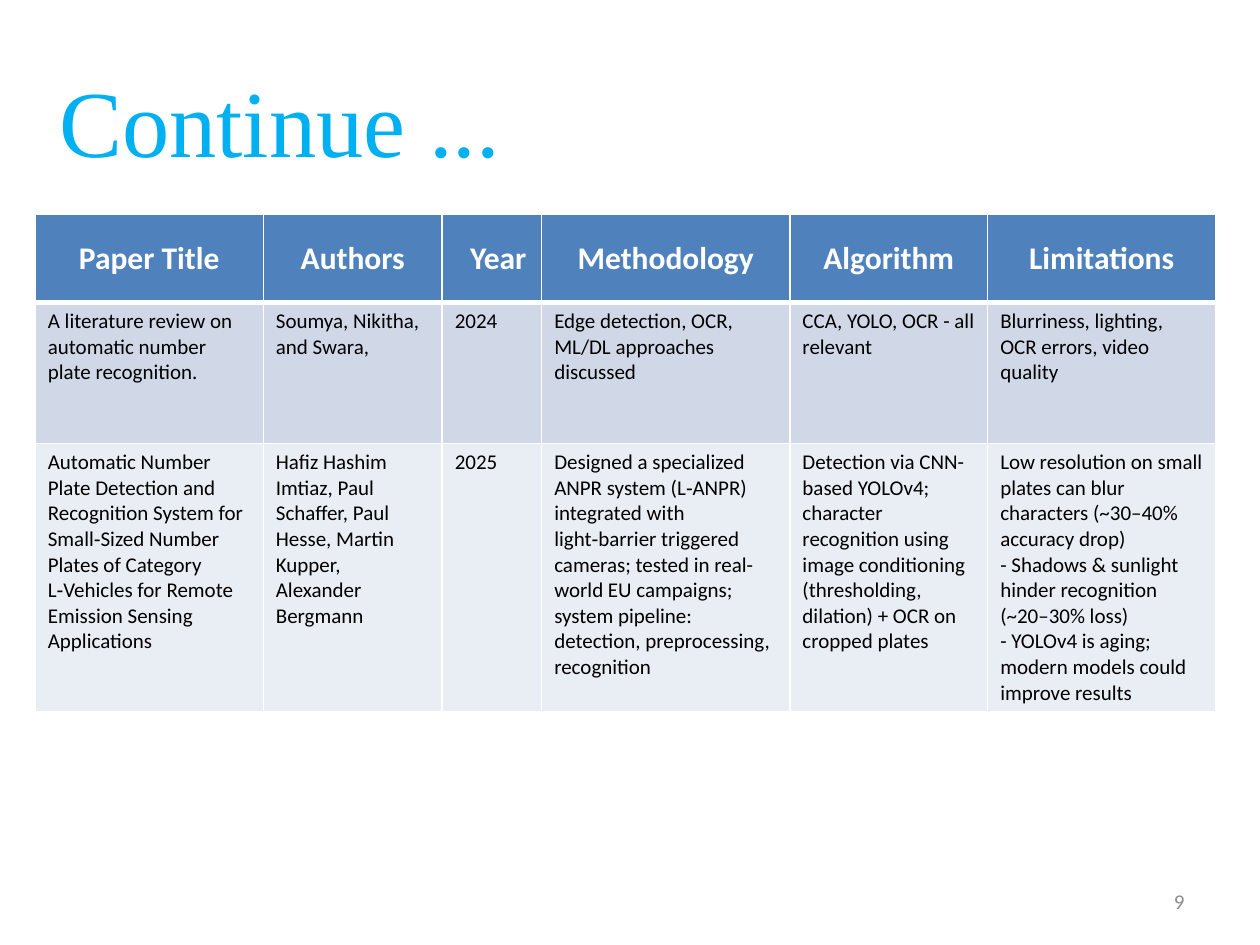
from lxml.etree import SubElement
from pptx import Presentation
from pptx.dml.color import RGBColor
from pptx.enum.text import MSO_ANCHOR, MSO_AUTO_SIZE, PP_ALIGN
from pptx.oxml.ns import qn
from pptx.util import Inches, Pt

COLORS = {
    "title": "00B0F0",
    "header": "4F81BD",
    "odd_row": "D0D8E8",
    "even_row": "E9EDF4",
    "white": "FFFFFF",
    "body": "000000",
    "number": "8C8C8C",
}
TITLE_FONT = {"name": "Times New Roman", "size": Pt(54), "bold": False}
HEADER_FONT = {"name": "Calibri", "size": Pt(18), "bold": True}
BODY_FONT = {"name": "Calibri", "size": Pt(12), "bold": False}
COLUMN_WIDTHS = [1.81, 1.42, 0.79, 1.97, 1.57, 1.81]
ROW_HEIGHTS = [0.7, 1.12, 2.12]
ROW_FILLS = ["header", "odd_row", "even_row"]
PAPERS = [
    ["Paper Title", "Authors", "Year", "Methodology", "Algorithm", "Limitations"],
    [
        "A literature review on automatic number plate recognition.",
        "Soumya, Nikitha, and Swara,",
        "2024",
        "Edge detection, OCR, ML/DL approaches discussed",
        "CCA, YOLO, OCR - all relevant",
        "Blurriness, lighting, OCR errors, video quality",
    ],
    [
        "Automatic Number Plate Detection and Recognition System for "
        "Small‑Sized Number Plates of Category L‑Vehicles for Remote "
        "Emission Sensing Applications",
        "Hafiz Hashim Imtiaz, Paul Schaffer, Paul Hesse, Martin Kupper, "
        "Alexander Bergmann",
        "2025",
        "Designed a specialized ANPR system (L‑ANPR) integrated with "
        "light‑barrier triggered cameras; tested in real-world EU campaigns; "
        "system pipeline: detection, preprocessing, recognition",
        "Detection via CNN-based YOLOv4; character recognition using image "
        "conditioning (thresholding, dilation) + OCR on cropped plates",
        "Low resolution on small plates can blur characters "
        "(~30–40% accuracy drop) \n"
        "- Shadows & sunlight hinder recognition (~20–30% loss) \n"
        "- YOLOv4 is aging; modern models could improve results",
    ],
]


def set_attributes(target, values):
    """Set each named value on the target."""
    for name, value in values.items():
        setattr(target, name, value)


def write_text(text_frame, text, font, color, alignment=PP_ALIGN.LEFT):
    """Write one formatted paragraph and return it."""
    paragraph = text_frame.paragraphs[0]
    paragraph.text = text
    paragraph.alignment = alignment
    for run in paragraph.runs:
        set_attributes(run.font, font)
        run.font.color.rgb = RGBColor.from_string(COLORS[color])
    return paragraph


def set_borders(cell, widths):
    """Draw white cell borders with a width in points for each side."""
    properties = cell._tc.get_or_add_tcPr()
    for position, (side, width) in enumerate(widths.items()):
        line = properties.makeelement(qn(f"a:ln{side}"), {"w": str(Pt(width))})
        fill = SubElement(line, qn("a:solidFill"))
        SubElement(fill, qn("a:srgbClr"), val=COLORS["white"])
        properties.insert(position, line)


def add_title(slide, text):
    """Place and format the title."""
    title = slide.shapes.title
    set_attributes(title, {
        "left": Inches(0.47), "top": Inches(0.62),
        "width": Inches(5.28), "height": Inches(0.78),
    })
    set_attributes(title.text_frame, {
        "margin_left": 0, "margin_top": 0, "margin_right": 0, "margin_bottom": 0,
        "word_wrap": False, "auto_size": MSO_AUTO_SIZE.NONE,
        "vertical_anchor": MSO_ANCHOR.TOP,
    })
    paragraph = write_text(title.text_frame, text, TITLE_FONT, "title")
    paragraph.line_spacing = Pt(56)


def fill_cell(cell, text, row):
    """Format one table cell according to its row."""
    cell.fill.solid()
    cell.fill.fore_color.rgb = RGBColor.from_string(COLORS[ROW_FILLS[row]])
    is_header = row == 0
    set_borders(cell, {
        "L": 1, "R": 1, "T": 3 if row == 1 else 1, "B": 3 if is_header else 1,
    })
    if is_header:
        cell.vertical_anchor = MSO_ANCHOR.MIDDLE
        paragraph = write_text(
            cell.text_frame, text, HEADER_FONT, "white", PP_ALIGN.CENTER)
        if text == "Year":
            paragraph._p.get_or_add_pPr().set("marL", str(Inches(0.1)))
    else:
        write_text(cell.text_frame, text, BODY_FONT, "body")


def add_paper_table(slide):
    """Add the table of reviewed papers."""
    table = slide.shapes.add_table(
        len(ROW_HEIGHTS), len(COLUMN_WIDTHS), Inches(0.28), Inches(1.7),
        Inches(sum(COLUMN_WIDTHS)), Inches(sum(ROW_HEIGHTS))).table
    for column, width in zip(table.columns, COLUMN_WIDTHS):
        column.width = Inches(width)
    for row, height in enumerate(ROW_HEIGHTS):
        table.rows[row].height = Inches(height)
        for column, text in enumerate(PAPERS[row]):
            fill_cell(table.cell(row, column), text, row)


def add_slide_number(slide, number):
    """Add the slide number at the lower right."""
    text_box = slide.shapes.add_textbox(
        Inches(7.17), Inches(6.95), Inches(2.33), Inches(0.4))
    set_attributes(text_box.text_frame, {
        "word_wrap": True, "vertical_anchor": MSO_ANCHOR.MIDDLE,
    })
    write_text(text_box.text_frame, number, BODY_FONT, "number", PP_ALIGN.RIGHT)


def main():
    """Build and save the presentation."""
    presentation = Presentation()
    presentation.slide_width = Inches(10)
    presentation.slide_height = Inches(7.5)
    slide = presentation.slides.add_slide(presentation.slide_layouts[5])
    add_title(slide, "Continue ...")
    add_paper_table(slide)
    add_slide_number(slide, "9")
    presentation.save("out.pptx")


if __name__ == "__main__":
    main()
